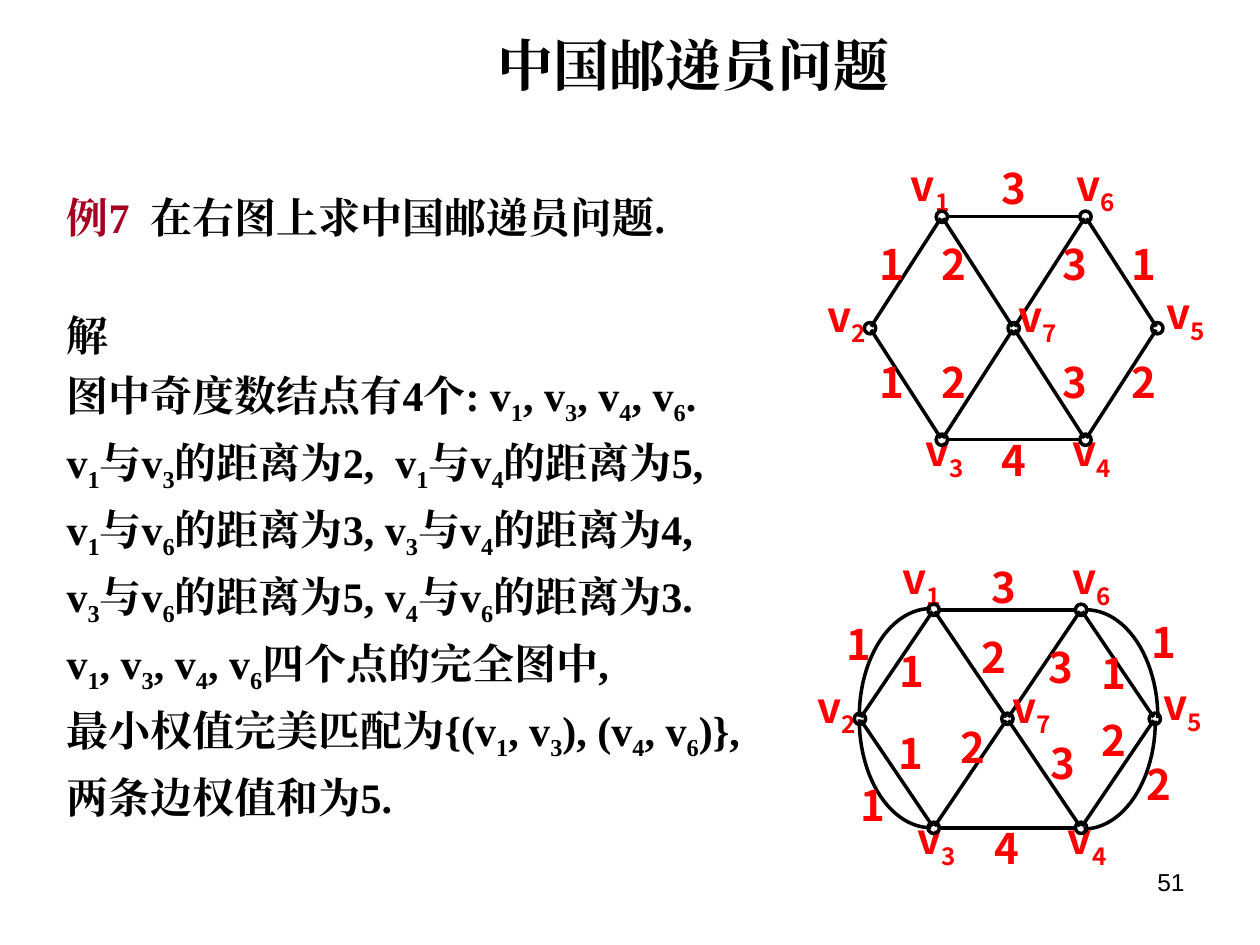
from math import cos, hypot, pi, sin

from lxml.etree import SubElement
from pptx import Presentation
from pptx.dml.color import RGBColor
from pptx.enum.shapes import MSO_CONNECTOR as Connector, MSO_SHAPE as Shape
from pptx.enum.text import MSO_ANCHOR as Anchor, PP_ALIGN as Align
from pptx.oxml.ns import qn
from pptx.util import Emu, Pt

PX = 4572  # EMU in one px, 200 px to the inch
BLACK = RGBColor(0, 0, 0)
RED = RGBColor(255, 0, 0)
CRIMSON = RGBColor(0xA5, 0, 0x21)

SERIF = {"name": "Times New Roman", "size": Pt(24), "bold": True}
LABEL = {"name": "Noto Sans CJK SC", "size": Pt(24), "bold": True}
TITLE = SERIF | {"size": Pt(32)}
NUMBER = {"name": "Arial", "size": Pt(14)}

RADIUS = 9
LINE_GAP = 5.5
SECTION_GAP = 38.6

# An underscore lowers the character after it.
LINES = [
    "解",
    "图中奇度数结点有4个: v_1, v_3, v_4, v_6.",
    "v_1与v_3的距离为2,  v_1与v_4的距离为5,",
    "v_1与v_6的距离为3, v_3与v_4的距离为4,",
    "v_3与v_6的距离为5, v_4与v_6的距离为3.",
    "v_1, v_3, v_4, v_6四个点的完全图中,",
    "最小权值完美匹配为{(v_1, v_3), (v_4, v_6)},",
    "两条边权值和为5.",
]

# Vertex: grid column and row around v7, then label offset from the node
VERTICES = {
    1: (-1, -1, -56, -91),
    2: (-2, 0, -74, -60),
    3: (-1, 1, -33, -24),
    4: (1, 1, -28, -24),
    5: (2, 0, 7, -64),
    6: (1, -1, -21, -91),
    7: (0, 0, 1, -60),
}
EDGES = [(1, 6), (3, 4), (1, 2), (2, 3), (6, 5), (5, 4),
         (1, 7), (7, 4), (6, 7), (7, 3)]

# Weight labels: digit, left, top
TOP_WEIGHTS = [
    (digit, left, top)
    for top, digits in ((378, "1231"), (566, "1232"))
    for digit, left in zip(digits, (1396, 1494, 1686, 1796))
] + [("3", 1590, 258), ("4", 1590, 690)]
BOTTOM_WEIGHTS = [
    ("1", 1428, 1024), ("1", 1366, 1238), ("1", 1748, 1028), ("3", 1664, 1018),
    ("4", 1578, 1306), ("1", 1426, 1154), ("2", 1524, 1146), ("2", 1748, 1134),
    ("3", 1668, 1170), ("3", 1574, 892), ("2", 1558, 1002), ("1", 1828, 978),
    ("2", 1820, 1204), ("1", 1344, 982),
]
# Doubled edges: centre x, centre y, horizontal and vertical direction
ARCS = [(1720, 1144, 1, 1), (1478, 1142, -1, 1),
        (1724, 1140, 1, -1), (1478, 1138, -1, -1)]


class Deck:
    def __init__(self, width, height):
        self.deck = Presentation()
        self.deck.slide_width = Emu(width * PX)
        self.deck.slide_height = Emu(height * PX)
        self.page = self.deck.slides.add_slide(self.deck.slide_layouts[6])
        self.shapes = self.page.shapes

    def start_group(self):
        """Put the elements that follow into a new group."""
        self.shapes = self.page.shapes.add_group_shape().shapes

    def outline(self, shape):
        shape.line.color.rgb = BLACK
        shape.line.width = Pt(2)

    def text_box(self, left, top, width, height, margins=True, **frame_format):
        box = self.shapes.add_textbox(*(Emu(v * PX) for v in (left, top, width, height)))
        frame = box.text_frame
        frame.word_wrap = True
        if not margins:
            for side in ("left", "top", "right", "bottom"):
                frame_format[f"margin_{side}"] = 0
        for name, value in frame_format.items():
            setattr(frame, name, value)
        return frame

    def span(self, para, text, style, color, lowered=False):
        span = para.add_run()
        span.text = text
        span.font.color.rgb = color
        for name, value in style.items():
            setattr(span.font, name, value)
        properties = span._r.get_or_add_rPr()
        SubElement(properties, qn("a:ea"), typeface=style["name"])
        if lowered:
            properties.set("baseline", "-25000")

    def add_text(self, para, text, style, color=BLACK, align=Align.LEFT):
        para.alignment = align
        first, *others = text.split("_")
        self.span(para, first, style, color)
        for part in others:
            self.span(para, part[0], style, color, lowered=True)
            if part[1:]:
                self.span(para, part[1:], style, color)

    def label(self, text, left, top, width):
        frame = self.text_box(left, top, width, 62, margins=False, word_wrap=False)
        self.add_text(frame.paragraphs[0], text, LABEL, RED, Align.CENTER)

    def edge(self, start, end):
        """Line between two nodes, cut short at both of them."""
        dx, dy = end[0] - start[0], end[1] - start[1]
        share = (3 if dy else RADIUS) / hypot(dx, dy)
        ends = (start[0] + dx * share, start[1] + dy * share,
                end[0] - dx * share, end[1] - dy * share)
        line = self.shapes.add_connector(Connector.STRAIGHT, *(Emu(round(v * PX)) for v in ends))
        self.outline(line)
        SubElement(line._element.spPr, qn("a:effectLst"))

    def node(self, x, y):
        circle = self.shapes.add_shape(
            Shape.OVAL, *(Emu(v * PX) for v in (x - RADIUS, y - RADIUS, 2 * RADIUS, 2 * RADIUS)))
        circle.shadow.inherit = False
        circle.fill.background()
        self.outline(circle)

    def quarter_arc(self, x, y, across, down, width=114, height=172, steps=24):
        points = [(round((x + across * width * sin(i * pi / 2 / steps)) * PX),
                   round((y + down * height * cos(i * pi / 2 / steps)) * PX))
                  for i in range(steps + 1)]
        builder = self.shapes.build_freeform(*points[0])
        builder.add_line_segments(points[1:], close=False)
        arc = builder.convert_to_shape()
        arc.shadow.inherit = False
        arc.fill.background()
        self.outline(arc)

    def graph(self, center, step, weights, arcs=()):
        self.start_group()
        spots = {number: (center[0] + column * step[0], center[1] + row * step[1])
                 for number, (column, row, *_) in VERTICES.items()}
        for arc in arcs:
            self.quarter_arc(*arc)
        for start, end in EDGES:
            self.edge(spots[start], spots[end])
        for number, (*_, dx, dy) in VERTICES.items():
            x, y = spots[number]
            self.label(f"v_{number}", x + dx, y + dy, 75)
        for digit, left, top in weights:
            self.label(digit, left, top, 37)
        for spot in spots.values():
            self.node(*spot)


def main():
    deck = Deck(2000, 1500)

    number = deck.text_box(1434, 1366, 466, 104)
    deck.add_text(number.paragraphs[0], "51", NUMBER, align=Align.RIGHT)
    title = deck.text_box(432, 56, 1338, 92, vertical_anchor=Anchor.MIDDLE)
    deck.add_text(title.paragraphs[0], "中国邮递员问题", TITLE, align=Align.CENTER)

    body = deck.text_box(86, 294, 1800, 990)
    question = body.paragraphs[0]
    deck.add_text(question, "例7  ", SERIF, CRIMSON)
    deck.add_text(question, "在右图上求中国邮递员问题.", SERIF)
    for index, text in enumerate(LINES):
        para = body.add_paragraph()
        para.space_before = Pt(LINE_GAP if index else SECTION_GAP)
        deck.add_text(para, text, SERIF)

    deck.graph((1599, 1141), (117, 173), BOTTOM_WEIGHTS, ARCS)
    deck.graph((1609, 521), (114, 177), TOP_WEIGHTS)
    deck.deck.save("out.pptx")


if __name__ == "__main__":
    main()
